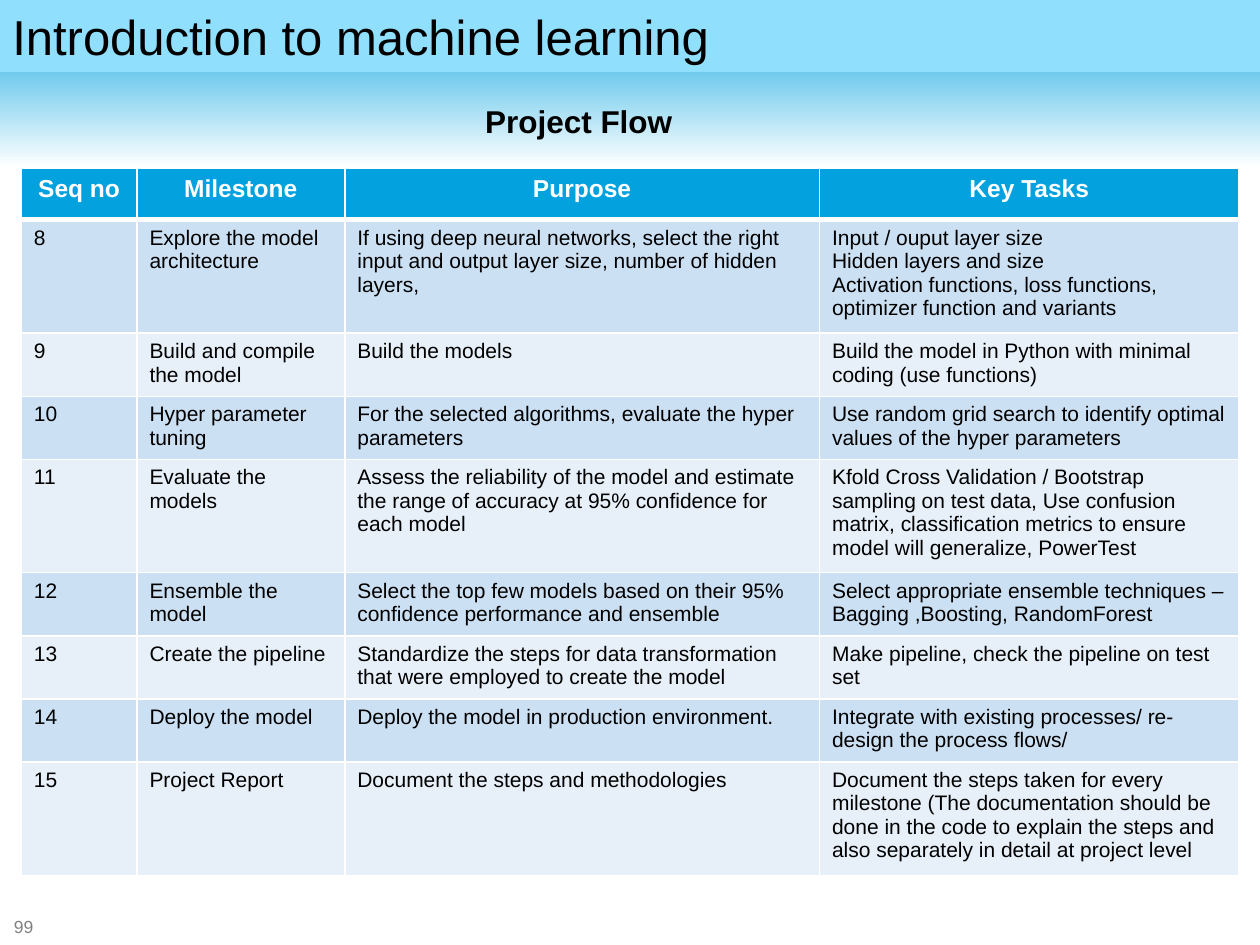
import pptx
import pptx.util
import pptx.dml.color
import pptx.enum.shapes
import pptx.enum.text
import pptx.oxml
import pptx.oxml.ns

Cm, Pt = pptx.util.Cm, pptx.util.Pt
RECT = pptx.enum.shapes.MSO_SHAPE.RECTANGLE
ANCHOR = pptx.enum.text.MSO_ANCHOR
ALIGN = pptx.enum.text.PP_ALIGN


def rgb(hex_color):
    return pptx.dml.color.RGBColor.from_string(hex_color)


def write(tf, text, size, color, bold=False, align=ALIGN.LEFT):
    tf.text = text
    for p in tf.paragraphs:
        p.alignment = align
        p.font.name = "Arial"
        p.font.size = Pt(size)
        p.font.bold = bold
        p.font.color.rgb = rgb(color)


prs = pptx.Presentation()
prs.slide_width, prs.slide_height = Cm(25.4), Cm(19.05)
s = prs.slides.add_slide(prs.slide_layouts[6])

# Fading band behind the heading
sp = s.shapes.add_shape(RECT, 0, 0, Cm(25.4), Cm(3.38))
sp.shadow.inherit = False
sp.line.fill.background()
sp.fill.gradient()
sp.fill.gradient_angle = 270
for stop, color in zip(sp.fill.gradient_stops, ("03A2DF", "FFFFFF")):
    stop.color.rgb = rgb(color)

# Title bar
sp = s.shapes.add_shape(RECT, 0, 0, Cm(25.4), Cm(1.45))
sp.shadow.inherit = False
sp.line.fill.background()
sp.fill.solid()
sp.fill.fore_color.rgb = rgb("8FDFFD")
sp.text_frame.vertical_anchor = ANCHOR.TOP
write(sp.text_frame, "Introduction to machine learning", 28, "000000")

# Page number
sp = s.shapes.add_textbox(Cm(0.03), Cm(18.47), Cm(1), Cm(0.4))
tf = sp.text_frame
tf.margin_top = tf.margin_bottom = 0
tf.vertical_anchor = ANCHOR.MIDDLE
tf.word_wrap = True
write(tf, "99", 10, "808080")

# Milestone table
rows = [
    ("Seq no", "Milestone", "Purpose", "Key Tasks"),
    ("8", "Explore the model architecture",
     "If using deep neural networks, select the right input and output layer size, "
     "number of hidden layers,",
     "Input / ouput layer size\nHidden layers and size\n"
     "Activation functions, loss functions, optimizer function and variants"),
    ("9", "Build and compile the model", "Build the models",
     "Build the model in Python with minimal coding (use functions)"),
    ("10", "Hyper parameter tuning",
     "For the selected algorithms, evaluate the hyper parameters",
     "Use random grid search to identify optimal values of the hyper parameters"),
    ("11", "Evaluate the models",
     "Assess the reliability of the model and estimate the range of accuracy at 95% "
     "confidence for each model",
     "Kfold Cross Validation / Bootstrap sampling on test data, Use confusion matrix, "
     "classification metrics to ensure model will generalize, PowerTest"),
    ("12", "Ensemble the model",
     "Select the top few models based on their 95% confidence performance and ensemble",
     "Select appropriate ensemble techniques – Bagging ,Boosting, RandomForest"),
    ("13", "Create the pipeline",
     "Standardize the steps for data transformation that were employed to create the model",
     "Make pipeline, check the pipeline on test set"),
    ("14", "Deploy the model", "Deploy the model in production environment.",
     "Integrate with existing processes/ re-design the process flows/"),
    ("15", "Project Report", "Document the steps and methodologies",
     "Document the steps taken for every milestone (The documentation should be done in "
     "the code to explain the steps and also separately in detail at project level"),
]
widths = (2.33, 4.19, 9.57, 8.46)
tall_rows = (1, 4, 8)
heights = [1.03] + [2.28 if i in tall_rows else 1.27 for i in range(1, len(rows))]

table = s.shapes.add_table(len(rows), len(widths), Cm(0.43), Cm(3.4),
                           Cm(sum(widths)), Cm(sum(heights))).table
for column, width in zip(table.columns, widths):
    column.width = Cm(width)
for i, (texts, height) in enumerate(zip(rows, heights)):
    table.rows[i].height = Cm(height)
    for j, text in enumerate(texts):
        cell = table.cell(i, j)
        cell.fill.solid()
        if i == 0:
            cell.fill.fore_color.rgb = rgb("03A2DF")
            write(cell.text_frame, text, 14, "FFFFFF", True, ALIGN.CENTER)
        else:
            cell.fill.fore_color.rgb = rgb("CCE0F3" if i % 2 else "E7F0F9")
            write(cell.text_frame, text, 12, "000000")
        # White cell borders, thicker under the header
        thick_side = {0: "B", 1: "T"}.get(i)
        for k, side in enumerate("LRTB"):
            border = pptx.oxml.parse_xml(
                f'<a:ln{side} {pptx.oxml.ns.nsdecls("a")} '
                f'w="{Pt(3 if side == thick_side else 1)}">'
                f'<a:solidFill><a:srgbClr val="FFFFFF"/></a:solidFill></a:ln{side}>')
            cell._tc.get_or_add_tcPr().insert(k, border)

# Heading above the table
sp = s.shapes.add_textbox(Cm(9.53), Cm(1.93), Cm(4.45), Cm(1.02))
sp.text_frame.word_wrap = True
write(sp.text_frame, "Project Flow", 18, "000000", True)

prs.save("out.pptx")
